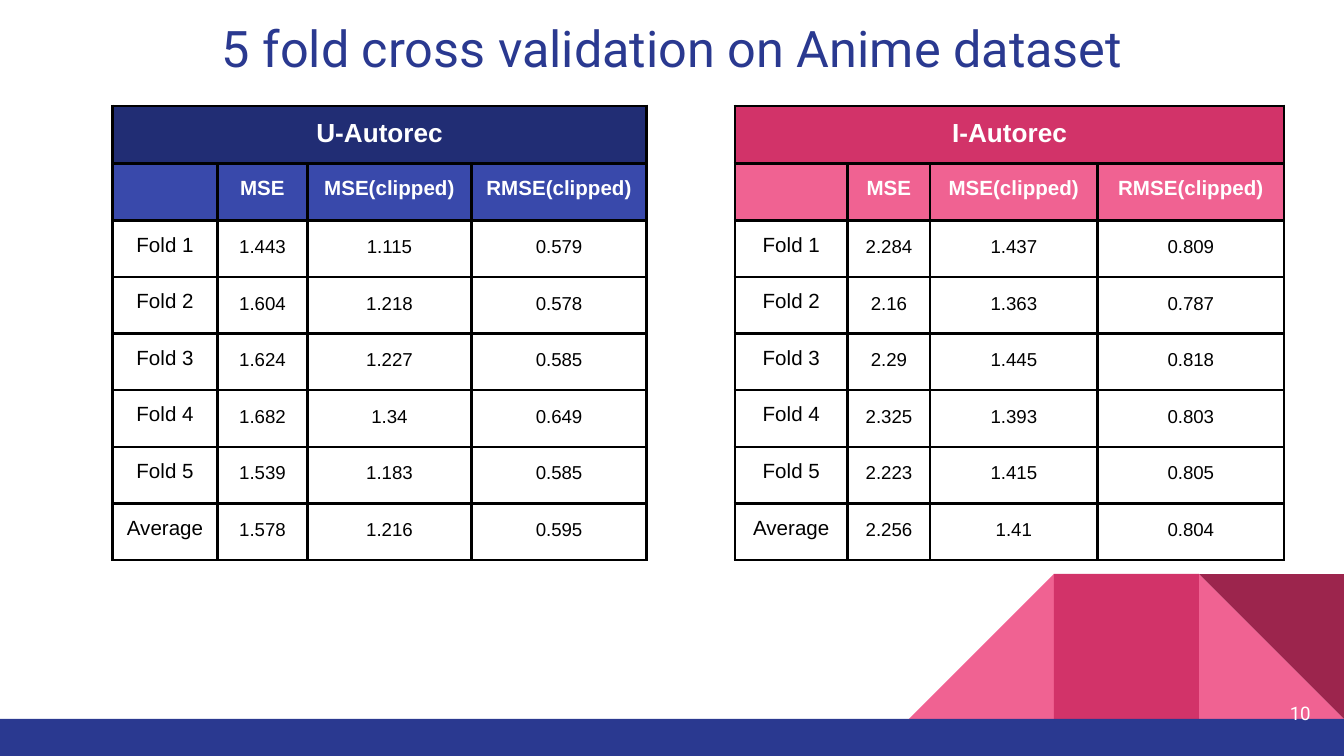
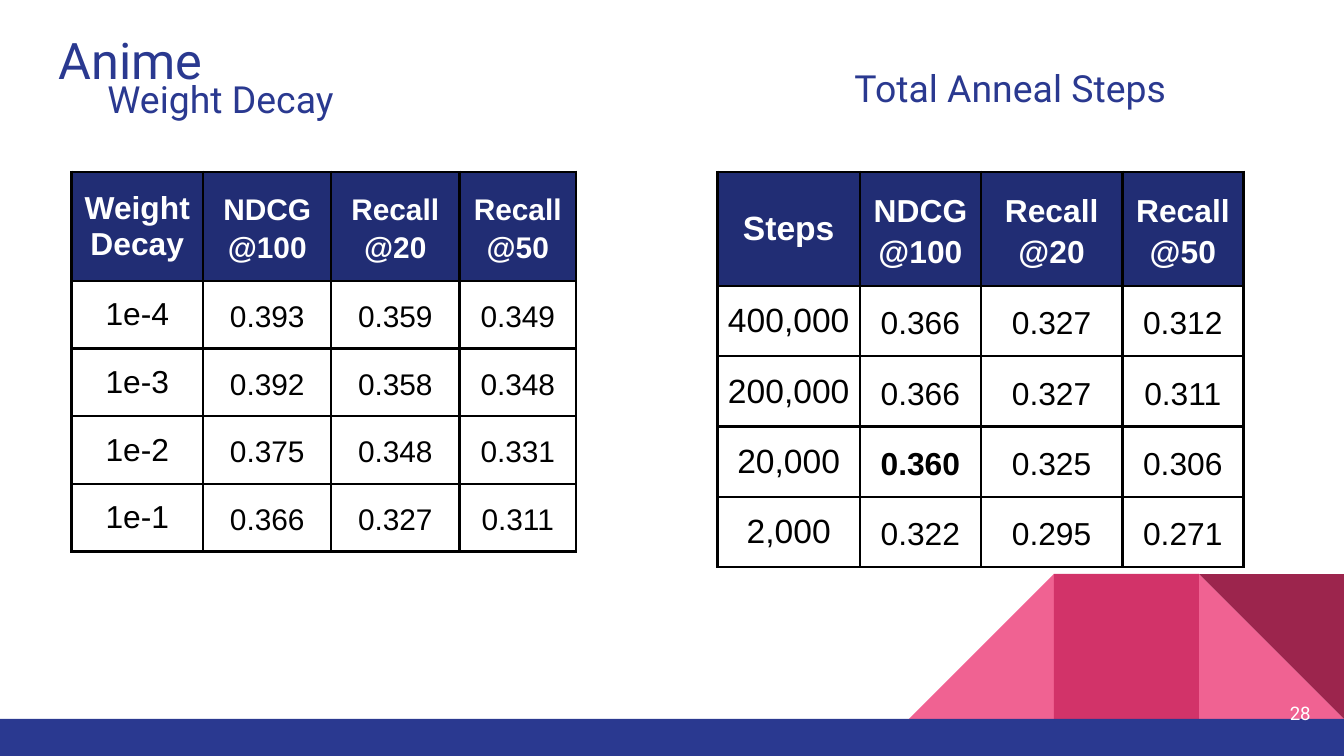
from dataclasses import dataclass

from lxml import etree
from pptx import Presentation
from pptx.dml.color import RGBColor
from pptx.enum.shapes import MSO_SHAPE
from pptx.enum.text import MSO_ANCHOR, PP_ALIGN
from pptx.oxml.ns import qn
from pptx.util import Cm, Pt

LEFT, CENTER, RIGHT = PP_ALIGN.LEFT, PP_ALIGN.CENTER, PP_ALIGN.RIGHT
TOP, MIDDLE = MSO_ANCHOR.TOP, MSO_ANCHOR.MIDDLE
RECTANGLE, TRIANGLE = MSO_SHAPE.RECTANGLE, MSO_SHAPE.RIGHT_TRIANGLE


@dataclass(frozen=True)
class Theme:
    blue: str = "2A3990"
    navy: str = "212D74"
    indigo: str = "3949AB"
    pink: str = "F06292"
    raspberry: str = "D23369"
    wine: str = "9C254D"
    white: str = "FFFFFF"
    black: str = "000000"
    heading_font: str = "Roboto"
    table_font: str = "Arial"
    title_size: int = 27
    subtitle_size: int = 20
    number_size: int = 10
    caption_size: int = 14
    inset: float = 0.25
    spacing: float = 1.15
    border: float = 1.5


THEME = Theme()
SLIDE_WIDTH, SLIDE_HEIGHT = 25.4, 14.29
BAND_TOP, GEM_SIDE = 13.59, 2.74
NUMBER_BOX = (23.5, 12.93, 1.52, 1.09)

FOLD_HEADER = ["", "MSE", "MSE(clipped)", "RMSE(clipped)"]
FOLD_STYLE = dict(header=FOLD_HEADER, header_height=1.07, row_height=1.07,
                  label_size=11, header_size=11, value_size=10,
                  label_inset=0.25, header_spacing=1.0, anchor=TOP)
RANKING_METRICS = ["NDCG@100", "Recall@20", "Recall@50"]
RANKING_STYLE = dict(header_fill=THEME.navy, label_inset=0.18,
                     header_spacing=THEME.spacing, anchor=MIDDLE)

SLIDES = [
    dict(
        number="10",
        title=("5 fold cross validation on Anime dataset", (0.86, 0.08, 23.68, 1.68), CENTER),
        subtitles=[],
        tables=[
            dict(FOLD_STYLE, at=(2.13, 2.0), widths=[1.98, 1.7, 3.1, 3.31],
                 caption="U-Autorec", caption_fill=THEME.navy, header_fill=THEME.indigo,
                 rows=[
                     ["Fold 1", "1.443", "1.115", "0.579"],
                     ["Fold 2", "1.604", "1.218", "0.578"],
                     ["Fold 3", "1.624", "1.227", "0.585"],
                     ["Fold 4", "1.682", "1.34", "0.649"],
                     ["Fold 5", "1.539", "1.183", "0.585"],
                     ["Average", "1.578", "1.216", "0.595"],
                 ]),
            dict(FOLD_STYLE, at=(13.89, 2.0), widths=[2.13, 1.56, 3.16, 3.53],
                 caption="I-Autorec", caption_fill=THEME.raspberry, header_fill=THEME.pink,
                 rows=[
                     ["Fold 1", "2.284", "1.437", "0.809"],
                     ["Fold 2", "2.16", "1.363", "0.787"],
                     ["Fold 3", "2.29", "1.445", "0.818"],
                     ["Fold 4", "2.325", "1.393", "0.803"],
                     ["Fold 5", "2.223", "1.415", "0.805"],
                     ["Average", "2.256", "1.41", "0.804"],
                 ]),
        ],
    ),
    dict(
        number="28",
        title=("Anime", (0.86, 0.3, 23.68, 1.68), LEFT),
        subtitles=[
            ("Weight Decay", (1.78, 1.19, 7.04, 1.68)),
            ("Total Anneal Steps", (15.9, 0.99, 7.04, 1.68)),
        ],
        tables=[
            dict(RANKING_STYLE, at=(1.35, 3.25), widths=[2.49, 2.42, 2.42, 2.21],
                 header_height=1.95, row_height=1.23,
                 label_size=17, header_size=16, value_size=16,
                 header=["Weight Decay"] + RANKING_METRICS,
                 rows=[
                     ["1e-4", "0.393", "0.359", "0.349"],
                     ["1e-3", "0.392", "0.358", "0.348"],
                     ["1e-2", "0.375", "0.348", "0.331"],
                     ["1e-1", "0.366", "0.327", "0.311"],
                 ]),
            dict(RANKING_STYLE, at=(13.56, 3.25), widths=[2.69, 2.29, 2.67, 2.29],
                 header_height=2.05, row_height=1.28,
                 label_size=18, header_size=17, value_size=17,
                 header=["Steps"] + RANKING_METRICS, highlight="0.360",
                 rows=[
                     ["400,000", "0.366", "0.327", "0.312"],
                     ["200,000", "0.366", "0.327", "0.311"],
                     ["20,000", "0.360", "0.325", "0.306"],
                     ["2,000", "0.322", "0.295", "0.271"],
                 ]),
        ],
    ),
]


def box(*lengths):
    return [Cm(length) for length in lengths]


def rgb(color):
    return RGBColor.from_string(color)


def write(paragraph, text, size, color, font, align, bold=False):
    paragraph.alignment = align
    run = paragraph.add_run()
    run.text = text
    run.font.size = Pt(size)
    run.font.name = font
    run.font.bold = bold
    run.font.color.rgb = rgb(color)


def set_insets(holder, side, vertical):
    holder.margin_left = holder.margin_right = Cm(side)
    holder.margin_top = holder.margin_bottom = Cm(vertical)


def fill_heading(holder, text, size, color, align, anchor=TOP):
    frame = holder.text_frame
    frame.word_wrap = True
    frame.vertical_anchor = anchor
    set_insets(frame, THEME.inset, THEME.inset)
    write(frame.paragraphs[0], text, size, color, THEME.heading_font, align)


def decorate_layout(layout, slide):
    gem_top = BAND_TOP - GEM_SIDE
    left, middle, right = (SLIDE_WIDTH - GEM_SIDE * n for n in (3, 2, 1))
    gem = (gem_top, GEM_SIDE, GEM_SIDE)
    parts = [
        (TRIANGLE, (right, *gem), THEME.pink, 0, False),
        (TRIANGLE, (left, *gem), THEME.pink, 0, True),
        (RECTANGLE, (middle, *gem), THEME.raspberry, 0, False),
        (TRIANGLE, (right, *gem), THEME.wine, 180, False),
        (RECTANGLE, (0, BAND_TOP, SLIDE_WIDTH, SLIDE_HEIGHT - BAND_TOP), THEME.blue, 0, False),
    ]
    for outline, place, color, rotation, flipped in parts:
        part = slide.shapes.add_shape(outline, *box(*place))
        part.shadow.inherit = False
        part.fill.solid()
        part.fill.fore_color.rgb = rgb(color)
        part.line.fill.background()
        part.rotation = rotation
        if flipped:
            part.element.spPr.find(qn("a:xfrm")).set("flipH", "1")
        layout.shapes.element.append(part.element)


def add_borders(cell):
    properties = cell._tc.get_or_add_tcPr()
    for position, side in enumerate(("lnL", "lnR", "lnT", "lnB")):
        line = etree.Element(qn(f"a:{side}"), w=str(Pt(THEME.border)))
        fill = etree.SubElement(line, qn("a:solidFill"))
        etree.SubElement(fill, qn("a:srgbClr"), val=THEME.black)
        properties.insert(position, line)


def fill_cell(cell, text, size, color, fill, bold, side, spacing, anchor):
    set_insets(cell, side, side)
    cell.vertical_anchor = anchor
    if fill:
        cell.fill.solid()
        cell.fill.fore_color.rgb = rgb(fill)
    else:
        cell.fill.background()
    add_borders(cell)
    paragraph = cell.text_frame.paragraphs[0]
    paragraph.line_spacing = spacing
    if text:
        write(paragraph, text, size, color, THEME.table_font, CENTER, bold)
    else:
        etree.SubElement(paragraph._p, qn("a:endParaRPr"), sz=str(size * 100))


def add_results(slide, results):
    widths, header, caption = results["widths"], results["header"], results.get("caption")
    lines = [header] + results["rows"]
    heights = [results["header_height"]] + [results["row_height"]] * len(results["rows"])
    first = 1 if caption else 0
    if caption:
        lines = [[caption] + [""] * (len(widths) - 1)] + lines
        heights = [results["row_height"]] + heights
    grid = slide.shapes.add_table(
        len(lines), len(widths), *box(*results["at"], sum(widths), sum(heights))).table
    grid.first_row = grid.horz_banding = False
    for column, width in zip(grid.columns, widths):
        column.width = Cm(width)
    for row, height in zip(grid.rows, heights):
        row.height = Cm(height)
    for r, line in enumerate(lines):
        for c, text in enumerate(line):
            size = results["label_size"] if c == 0 else results["value_size"]
            spacing = 1.0 if c == 0 else THEME.spacing
            fill, color = None, THEME.black
            if r <= first:
                color, fill = THEME.white, results["header_fill"]
                spacing = 1.0 if c == 0 else results["header_spacing"]
                size = size if c == 0 else results["header_size"]
            if r < first:
                fill = results["caption_fill"]
                size = THEME.caption_size if text else size
            bold = r <= first or text == results.get("highlight")
            side = results["label_inset"] if c == 0 else THEME.inset
            fill_cell(grid.cell(r, c), text, size, color, fill, bold,
                      side, spacing, results["anchor"])
    if caption:
        grid.cell(0, 0).merge(grid.cell(0, len(widths) - 1))


def main():
    deck = Presentation()
    deck.slide_width, deck.slide_height = box(SLIDE_WIDTH, SLIDE_HEIGHT)
    layout = deck.slide_layouts[5]
    for index, content in enumerate(SLIDES):
        slide = deck.slides.add_slide(layout)
        if index == 0:
            decorate_layout(layout, slide)
        text, place, align = content["title"]
        title = slide.shapes.title
        title.left, title.top, title.width, title.height = box(*place)
        fill_heading(title, text, THEME.title_size, THEME.blue, align)
        for text, place in content["subtitles"]:
            subtitle = slide.shapes.add_textbox(*box(*place))
            fill_heading(subtitle, text, THEME.subtitle_size, THEME.blue, LEFT)
        number = slide.shapes.add_textbox(*box(*NUMBER_BOX))
        fill_heading(number, content["number"], THEME.number_size, THEME.white, RIGHT, MIDDLE)
        for results in content["tables"]:
            add_results(slide, results)
    deck.save("out.pptx")


if __name__ == "__main__":
    main()
